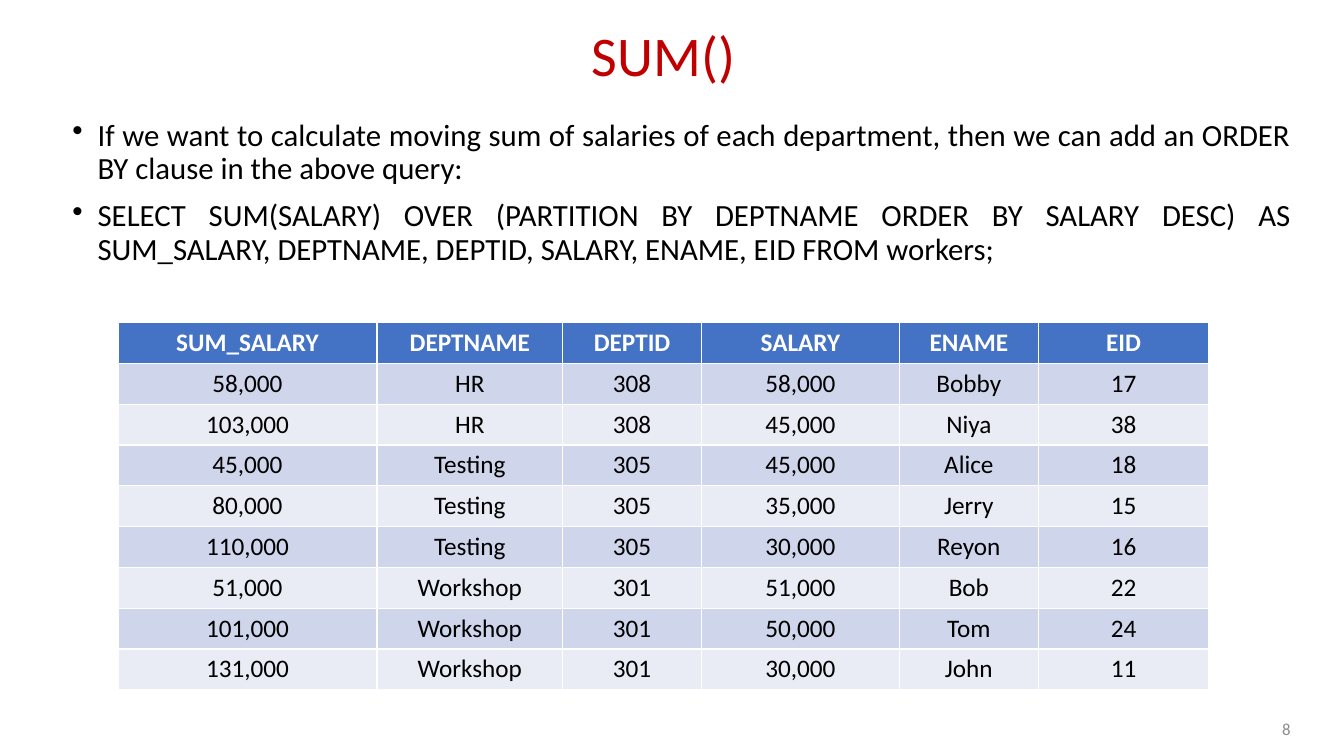
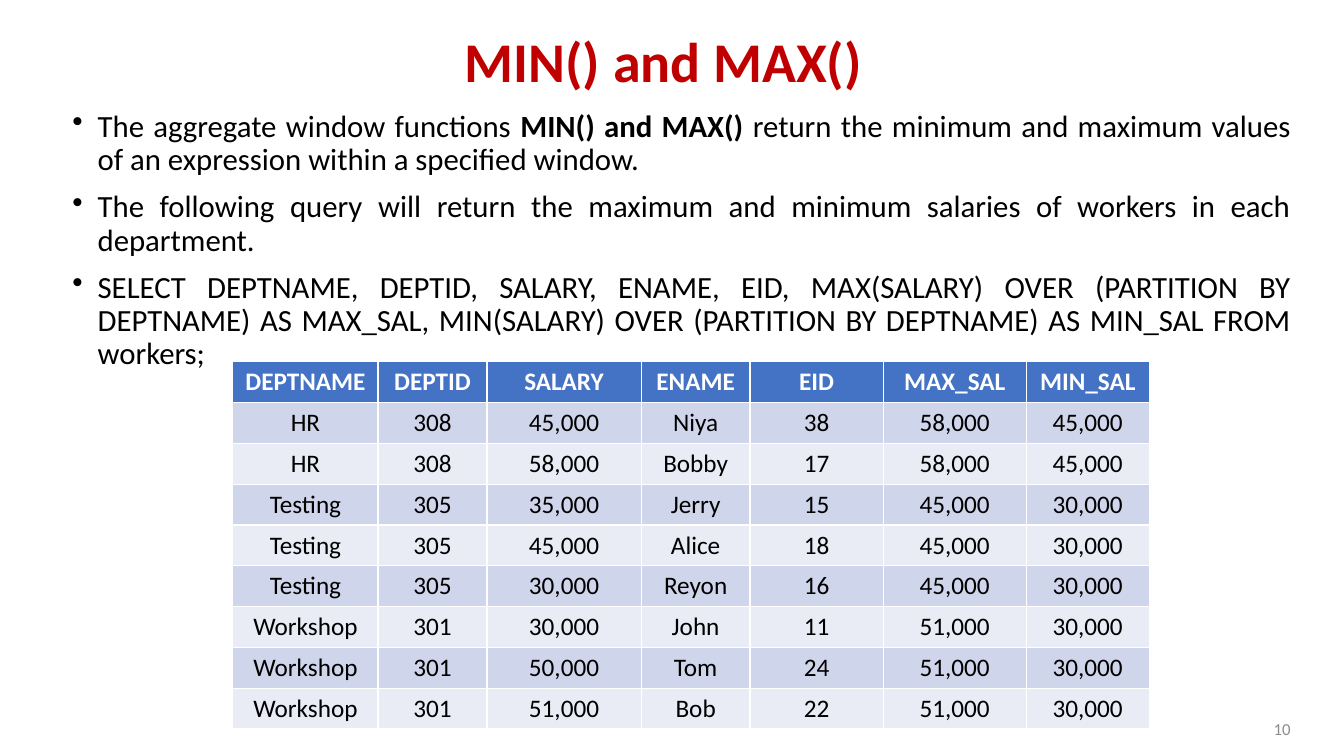
from dataclasses import dataclass

from lxml import etree
from pptx import Presentation
from pptx import util as u
from pptx.dml.color import RGBColor
from pptx.enum import text
from pptx.oxml.ns import qn


@dataclass(frozen=True)
class Theme:
    font: str = "Calibri"
    title: str = "C00000"
    ink: str = "000000"
    muted: str = "8C8C8C"
    head_ink: str = "FFFFFF"
    head: str = "4472C4"
    bands: tuple = ("CFD5EA", "E9EBF5")
    title_size: int = 40
    body_size: int = 22
    table_size: int = 18
    number_size: int = 12


T = Theme()
ALIGN = text.PP_ALIGN
ANCHOR = text.MSO_ANCHOR


def add_run(p, words, size, color, bold=False):
    r = p.add_run()
    r.text = words
    r.font.name = T.font
    r.font.size = u.Pt(size)
    r.font.bold = bold
    r.font.color.rgb = RGBColor.from_string(color)


def add_box(s, box, anchor):
    tf = s.shapes.add_textbox(*map(u.Inches, box)).text_frame
    tf.word_wrap = True
    tf.vertical_anchor = anchor
    return tf


def add_title(s, box, words, bold):
    p = add_box(s, box, ANCHOR.MIDDLE).paragraphs[0]
    p.alignment = ALIGN.CENTER
    p.line_spacing = 0.9
    add_run(p, words, T.title_size, T.title, bold)


def add_number(s, box, number):
    p = add_box(s, box, ANCHOR.MIDDLE).paragraphs[0]
    p.alignment = ALIGN.RIGHT
    add_run(p, number, T.number_size, T.muted)


def add_bullets(s, box, items):
    tf = add_box(s, box, ANCHOR.TOP)
    for i, runs in enumerate(items):
        p = tf.add_paragraph() if i else tf.paragraphs[0]
        pPr = p._p.get_or_add_pPr()
        pPr.set("marL", str(u.Inches(0.25)))
        pPr.set("indent", str(-u.Inches(0.25)))
        etree.SubElement(pPr, qn("a:buChar")).set("char", "•")
        p.alignment = ALIGN.JUSTIFY
        p.line_spacing = 0.9
        if i:
            p.space_before = u.Pt(10)
        for words, bold in runs:
            add_run(p, words, T.body_size, T.ink, bold)


def add_grid(s, left, top, widths, rows, row_height=0.405):
    tbl = s.shapes.add_table(
        len(rows), len(widths), u.Inches(left), u.Inches(top),
        u.Inches(sum(widths)), u.Inches(row_height * len(rows))).table
    for col, width in zip(tbl.columns, widths):
        col.width = u.Inches(width)
    for i, values in enumerate(rows):
        tbl.rows[i].height = u.Inches(row_height)
        is_head = i == 0
        fill = T.head if is_head else T.bands[(i - 1) % 2]
        for j, value in enumerate(values):
            cell = tbl.cell(i, j)
            cell.fill.solid()
            cell.fill.fore_color.rgb = RGBColor.from_string(fill)
            p = cell.text_frame.paragraphs[0]
            p.alignment = ALIGN.CENTER
            add_run(p, value, T.table_size,
                    T.head_ink if is_head else T.ink, is_head)


def add_function_slide(prs, title, bold, title_top, bullets, number,
                       left, top, widths, rows):
    s = prs.slides.add_slide(prs.slide_layouts[6])
    add_title(s, (0.83, title_top, 11.5, 1.45), title, bold)
    add_number(s, (9.9, 7.03, 3, 0.4), number)
    add_bullets(s, (0.62, title_top + (1.14 if bold else 1.29), 12.28, 4.76),
                bullets)
    add_grid(s, left, top, widths, rows)


SUM_BULLETS = [
    [("If we want to calculate moving sum of salaries of each department, "
      "then we can add an ORDER BY clause in the above query:", False)],
    [("SELECT SUM(SALARY) OVER (PARTITION BY DEPTNAME ORDER BY SALARY DESC) "
      "AS SUM_SALARY, DEPTNAME, DEPTID, SALARY, ENAME, EID FROM workers;",
      False)],
]
SUM_ROWS = [
    ("SUM_SALARY", "DEPTNAME", "DEPTID", "SALARY", "ENAME", "EID"),
    ("58,000", "HR", "308", "58,000", "Bobby", "17"),
    ("103,000", "HR", "308", "45,000", "Niya", "38"),
    ("45,000", "Testing", "305", "45,000", "Alice", "18"),
    ("80,000", "Testing", "305", "35,000", "Jerry", "15"),
    ("110,000", "Testing", "305", "30,000", "Reyon", "16"),
    ("51,000", "Workshop", "301", "51,000", "Bob", "22"),
    ("101,000", "Workshop", "301", "50,000", "Tom", "24"),
    ("131,000", "Workshop", "301", "30,000", "John", "11"),
]
RANGE_BULLETS = [
    [("The aggregate window functions ", False),
     ("MIN() and MAX() ", True),
     ("return the minimum and maximum values of an expression within a "
      "specified window.", False)],
    [("The following query will return the maximum and minimum salaries of "
      "workers in each department.", False)],
    [("SELECT DEPTNAME, DEPTID, SALARY, ENAME, EID, MAX(SALARY) OVER "
      "(PARTITION BY DEPTNAME) AS MAX_SAL, MIN(SALARY) OVER (PARTITION BY "
      "DEPTNAME) AS MIN_SAL FROM workers;", False)],
]
RANGE_ROWS = [
    ("DEPTNAME", "DEPTID", "SALARY", "ENAME", "EID", "MAX_SAL", "MIN_SAL"),
    ("HR", "308", "45,000", "Niya", "38", "58,000", "45,000"),
    ("HR", "308", "58,000", "Bobby", "17", "58,000", "45,000"),
    ("Testing", "305", "35,000", "Jerry", "15", "45,000", "30,000"),
    ("Testing", "305", "45,000", "Alice", "18", "45,000", "30,000"),
    ("Testing", "305", "30,000", "Reyon", "16", "45,000", "30,000"),
    ("Workshop", "301", "30,000", "John", "11", "51,000", "30,000"),
    ("Workshop", "301", "50,000", "Tom", "24", "51,000", "30,000"),
    ("Workshop", "301", "51,000", "Bob", "22", "51,000", "30,000"),
]


def main():
    prs = Presentation()
    prs.slide_width = u.Inches(13.33)
    prs.slide_height = u.Inches(7.5)
    add_function_slide(prs, "SUM()", False, -0.15, SUM_BULLETS, "8",
                       1.17, 3.2, (2.57, 1.84, 1.38, 1.96, 1.38, 1.69),
                       SUM_ROWS)
    add_function_slide(prs, "MIN() and MAX()", True, -0.09, RANGE_BULLETS,
                       "10", 2.31, 3.59,
                       (1.44, 1.08, 1.53, 1.08, 1.32, 1.42, 1.22),
                       RANGE_ROWS)
    prs.save("out.pptx")


if __name__ == "__main__":
    main()
